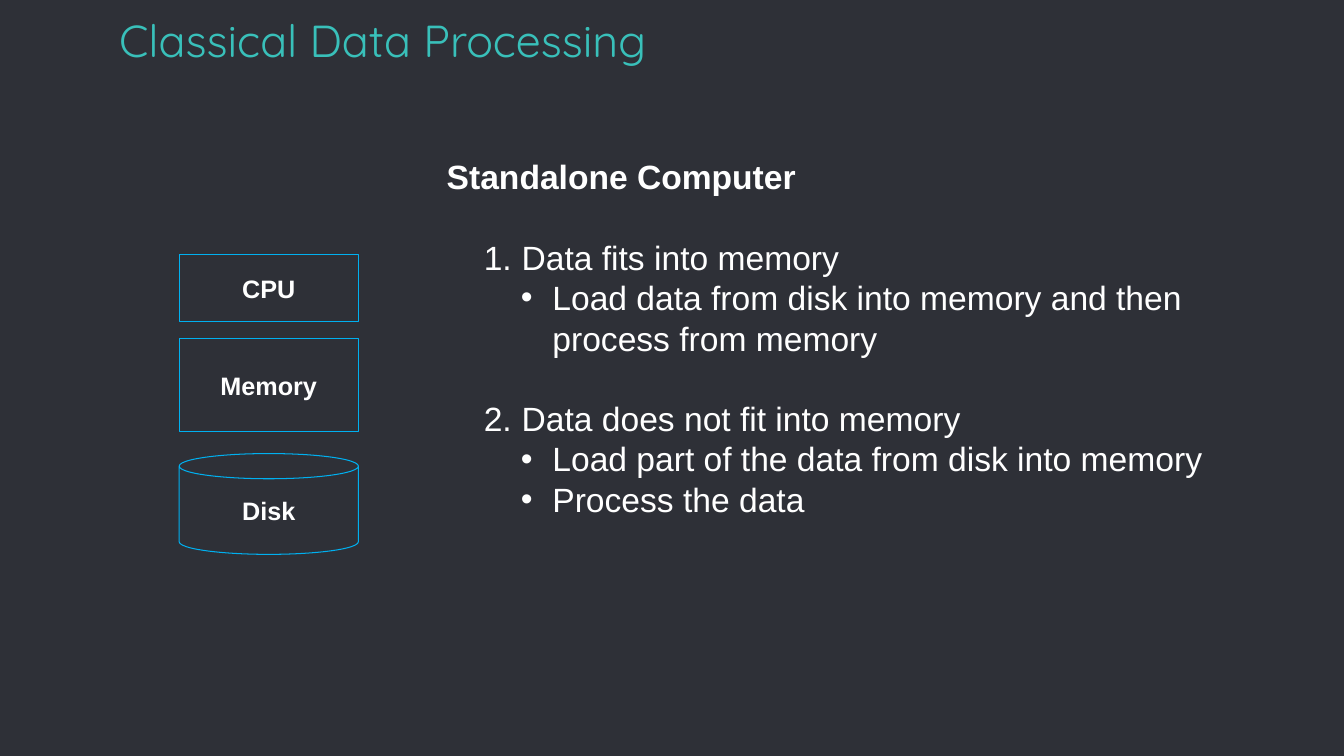
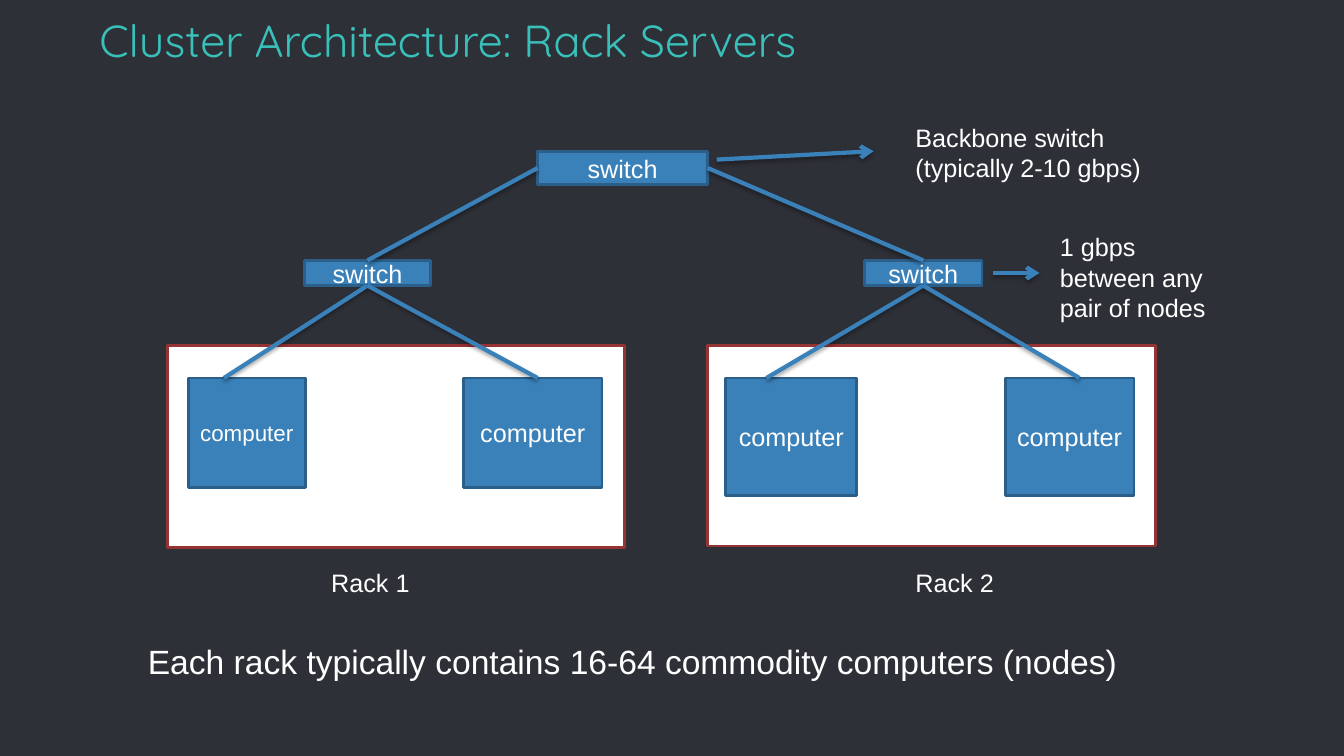
from dataclasses import dataclass
from typing import Any

import lxml.etree
import pptx
import pptx.dml.color
import pptx.enum.shapes
import pptx.enum.text
import pptx.oxml
import pptx.oxml.ns
import pptx.util

Pt = pptx.util.Pt
SHAPE = pptx.enum.shapes.MSO_SHAPE
ANCHOR = pptx.enum.text.MSO_ANCHOR
ALIGN = pptx.enum.text.PP_ALIGN

BACKGROUND = "2E3037"
TEAL = "39C0BA"
WHITE = "FFFFFF"
CYAN = "00B0F0"
BLUE = "3A81BA"
DARK_BLUE = "2B5F8A"
RED = "963334"
LINE_HEIGHT = 1.2


@dataclass(frozen=True)
class Style:
    fill: str | None
    line: str
    weight: float
    bold: bool = False


@dataclass(frozen=True)
class Node:
    text: str
    left: float
    top: float
    width: float
    height: float
    size: float = 18
    kind: Any = SHAPE.RECTANGLE


@dataclass(frozen=True)
class Line:
    text: str
    level: int = 0
    bold: bool = False
    gap: float = 0


@dataclass(frozen=True)
class Label:
    lines: tuple[Line, ...]
    left: float
    top: float
    width: float
    height: float
    size: float = 18


@dataclass(frozen=True)
class Wire:
    start: tuple[float, float]
    end: tuple[float, float]
    arrow: bool = False


@dataclass(frozen=True)
class Bullet:
    left: float
    hanging: float
    tag: str
    attributes: dict[str, str]


BULLETS = {
    1: Bullet(53.5, 27, "a:buAutoNum", {"type": "arabicPeriod"}),
    2: Bullet(75.5, 22.5, "a:buChar", {"char": "•"}),
}

PART = Style(None, CYAN, 0.75, bold=True)
RACK = Style(WHITE, RED, 2)
DEVICE = Style(BLUE, DARK_BLUE, 2)

COMPUTER_PARTS = (
    Node("CPU", 128, 182, 128, 48),
    Node("Memory", 128, 242, 128, 66),
    Node("Disk", 128, 324, 128, 72, kind=SHAPE.CAN),
)
STANDALONE = Label(
    (
        Line("Standalone Computer", bold=True),
        Line("Data fits into memory", 1, gap=28.8),
        Line("Load data from disk into memory and then process from memory", 2),
        Line("Data does not fit into memory", 1, gap=28.8),
        Line("Load part of the data from disk into memory", 2),
        Line("Process the data", 2),
    ),
    312, 108, 558, 269, 24,
)

RACKS = (
    Node("", 119.5, 247, 326.5, 144),
    Node("", 505.5, 247, 320, 143),
)
DEVICES = (
    Node("switch", 384, 108, 121.5, 24),
    Node("switch", 217.5, 186, 90, 18),
    Node("switch", 617.5, 186, 84, 18),
    Node("computer", 134.5, 270, 83.5, 78, 16),
    Node("computer", 331, 270, 99, 78),
    Node("computer", 518.5, 270, 93.5, 84),
    Node("computer", 718, 270, 92, 84),
)
WIRES = (
    Wire((384, 120), (262.5, 186)),
    Wire((505.5, 120), (659.5, 186)),
    Wire((262.5, 204), (160, 270)),
    Wire((262.5, 204), (384, 270)),
    Wire((659.5, 204), (547.5, 270)),
    Wire((659.5, 204), (771, 270)),
    Wire((512, 114), (624, 108), arrow=True),
    Wire((709.5, 195), (742.5, 195), arrow=True),
)
LABELS = (
    Label((Line("Rack 1"),), 229.5, 402, 72, 29),
    Label((Line("Rack 2"),), 646.8, 402, 72, 29),
    Label((Line("Backbone switch"), Line("(typically 2-10 gbps)")), 646.8, 84, 180, 51),
    Label((Line("1 gbps between any pair of nodes"),), 750, 162, 132.5, 73),
    Label(
        (Line("Each rack typically contains 16-64 commodity computers (nodes)"),),
        98.5, 454, 735, 36, 24,
    ),
)


def color(value: str) -> pptx.dml.color.RGBColor:
    return pptx.dml.color.RGBColor.from_string(value)


def assign(target: Any, values: dict[str, Any]) -> None:
    for name, value in values.items():
        setattr(target, name, value)


def write(para: Any, text: str, size: float, bold: bool = False,
          tint: str = WHITE, family: str = "Arial") -> None:
    span = para.add_run()
    span.text = text
    assign(span.font, {"name": family, "size": Pt(size), "bold": bold})
    span.font.color.rgb = color(tint)


def add_bullet(para: Any, level: int) -> None:
    bullet = BULLETS[level]
    para.level = level
    properties = para._p.get_or_add_pPr()
    properties.set("marL", str(Pt(bullet.left)))
    properties.set("indent", str(-Pt(bullet.hanging)))
    font = lxml.etree.SubElement(properties, pptx.oxml.ns.qn("a:buFont"))
    font.set("typeface", "Arial")
    marker = lxml.etree.SubElement(properties, pptx.oxml.ns.qn(bullet.tag))
    for name, value in bullet.attributes.items():
        marker.set(name, value)


def add_title(page: Any, text: str, left: float, width: float) -> None:
    box = page.shapes.add_textbox(Pt(left), Pt(12), Pt(width), Pt(42.5))
    margins = dict.fromkeys(
        ("margin_left", "margin_top", "margin_right", "margin_bottom"), Pt(7.2)
    )
    assign(box.text_frame, margins | {
        "word_wrap": True, "vertical_anchor": ANCHOR.BOTTOM,
    })
    write(box.text_frame.paragraphs[0], text, 32, tint=TEAL, family="Quicksand")


def add_node(page: Any, node: Node, style: Style) -> None:
    shape = page.shapes.add_shape(
        node.kind, Pt(node.left), Pt(node.top), Pt(node.width), Pt(node.height)
    )
    shape.shadow.inherit = False
    if style.fill:
        shape.fill.solid()
        shape.fill.fore_color.rgb = color(style.fill)
    else:
        shape.fill.background()
    shape.line.color.rgb = color(style.line)
    shape.line.width = Pt(style.weight)
    if node.text:
        assign(shape.text_frame, {
            "word_wrap": True, "vertical_anchor": ANCHOR.MIDDLE,
        })
        para = shape.text_frame.paragraphs[0]
        assign(para, {
            "alignment": ALIGN.CENTER, "line_spacing": Pt(node.size * LINE_HEIGHT),
        })
        write(para, node.text, node.size, style.bold)


def add_label(page: Any, label: Label) -> None:
    box = page.shapes.add_textbox(
        Pt(label.left), Pt(label.top), Pt(label.width), Pt(label.height)
    )
    frame = box.text_frame
    frame.word_wrap = True
    for index, line in enumerate(label.lines):
        para = frame.add_paragraph() if index else frame.paragraphs[0]
        if line.level:
            add_bullet(para, line.level)
        para.line_spacing = Pt(label.size * LINE_HEIGHT)
        if line.gap:
            para.space_before = Pt(line.gap)
        write(para, line.text, label.size, line.bold)


def add_wire(page: Any, wire: Wire) -> None:
    connector = page.shapes.add_connector(
        pptx.enum.shapes.MSO_CONNECTOR.STRAIGHT,
        *(Pt(value) for value in wire.start + wire.end),
    )
    connector.line.color.rgb = color(BLUE)
    connector.line.width = Pt(3)
    if wire.arrow:
        outline = connector.line._get_or_add_ln()
        lxml.etree.SubElement(outline, pptx.oxml.ns.qn("a:tailEnd")).set("type", "arrow")
    connector._element.spPr.append(pptx.oxml.parse_xml(
        f'<a:effectLst {pptx.oxml.ns.nsdecls("a")}>'
        f'<a:outerShdw blurRad="{Pt(3.1)}" dist="{Pt(1.8)}" dir="5400000" rotWithShape="0">'
        '<a:srgbClr val="000000"><a:alpha val="35000"/></a:srgbClr>'
        '</a:outerShdw></a:effectLst>'
    ))


def build_classical(page: Any) -> None:
    add_title(page, "Classical Data Processing", 78, 777.5)
    for node in COMPUTER_PARTS:
        add_node(page, node, PART)
    add_label(page, STANDALONE)


def build_cluster(page: Any) -> None:
    add_title(page, "Cluster Architecture: Rack Servers", 64, 762)
    for nodes, style in ((RACKS, RACK), (DEVICES, DEVICE)):
        for node in nodes:
            add_node(page, node, style)
    for wire in WIRES:
        add_wire(page, wire)
    for label in LABELS:
        add_label(page, label)


def main() -> None:
    deck = pptx.Presentation()
    assign(deck, {"slide_width": Pt(960), "slide_height": Pt(540)})
    backdrop = deck.slide_master.background.fill
    backdrop.solid()
    backdrop.fore_color.rgb = color(BACKGROUND)
    for build in (build_classical, build_cluster):
        build(deck.slides.add_slide(deck.slide_layouts[6]))
    deck.save("out.pptx")


if __name__ == "__main__":
    main()
